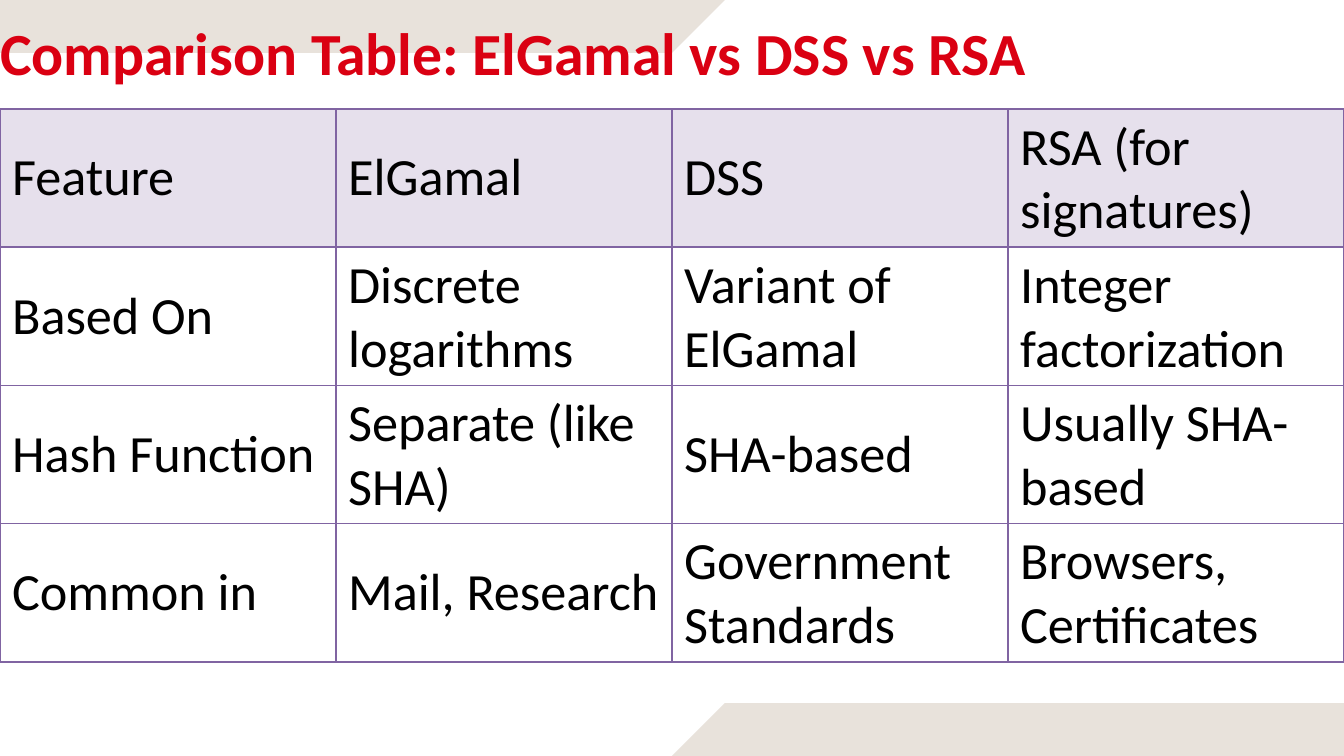
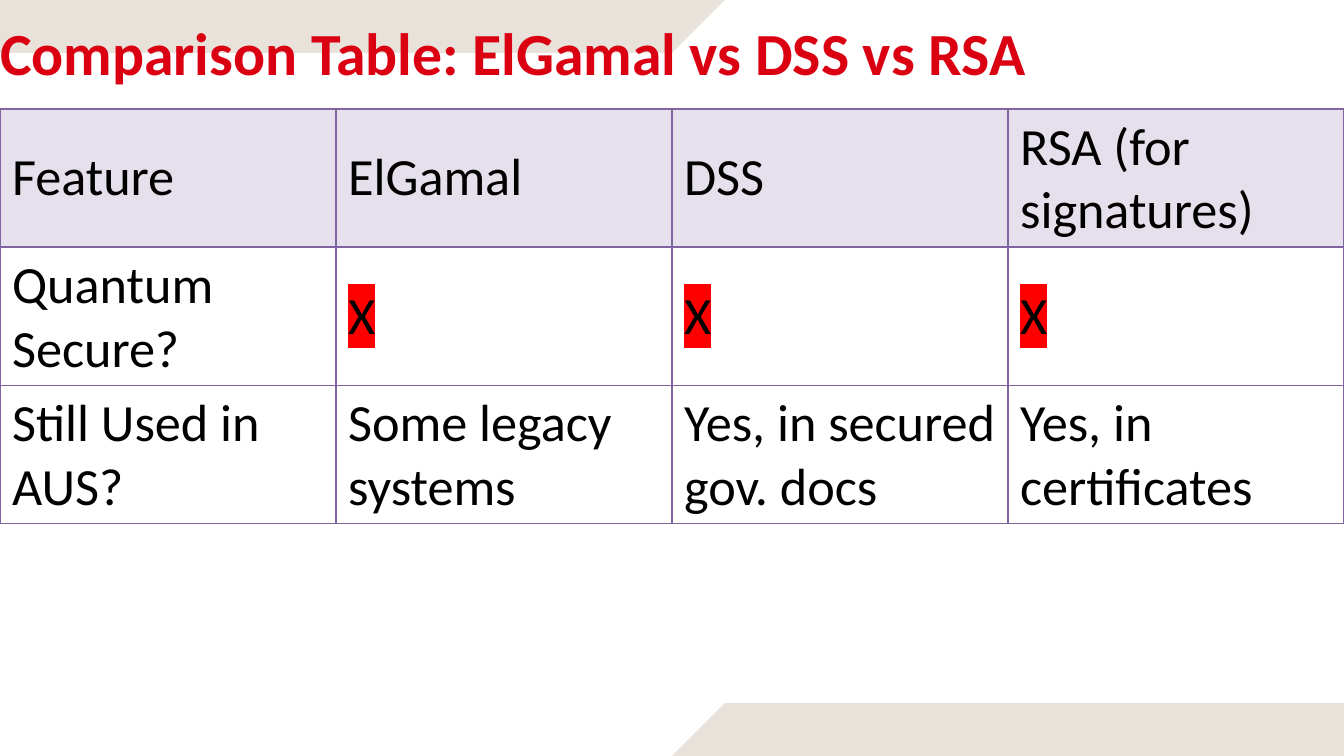
from dataclasses import dataclass

from lxml.etree import SubElement
from pptx import Presentation
from pptx.dml.color import RGBColor
from pptx.enum.text import MSO_ANCHOR as Anchor, MSO_AUTO_SIZE as AutoSize, PP_ALIGN as Align
from pptx.oxml.ns import qn
from pptx.util import Cm, Pt

COLORS = {
    "background": "FFFFFF",
    "band": "E8E2DB",
    "title": "DA0012",
    "text": "000000",
    "header": "E6E0EC",
    "border": "8064A2",
    "highlight": "FF0000",
}
FONT = "Calibri"
SLIDE_W, SLIDE_H = 25.4, 14.29
MIDDLE = SLIDE_W / 2
BAND_H = 1.0  # also the horizontal run of the slanted end
TABLE_TOP, ROW_H = 2.06, 2.6
CELL_SIDE, CELL_EDGE = 0.23, 0.12  # cell margins
MARK = "X"  # highlighted wherever it fills a cell

TITLE = "Comparison Table: ElGamal vs DSS vs RSA"
HEADER = ("Feature", "ElGamal", "DSS", "RSA (for signatures)")


@dataclass(frozen=True)
class Band:
    """Outline corners in centimetres."""
    corners: tuple[tuple[float, float], ...]


@dataclass(frozen=True)
class Comparison:
    rows: tuple[tuple[str, ...], ...]


BANDS = (
    Band(((MIDDLE + BAND_H, 0), (0, 0), (0, BAND_H), (MIDDLE, BAND_H))),
    Band(((SLIDE_W, SLIDE_H - BAND_H), (MIDDLE + BAND_H, SLIDE_H - BAND_H),
          (MIDDLE, SLIDE_H), (SLIDE_W, SLIDE_H))),
)

COMPARISONS = (
    Comparison((
        ("Based On", "Discrete logarithms", "Variant of ElGamal", "Integer factorization"),
        ("Hash Function", "Separate (like SHA)", "SHA-based", "Usually SHA-based"),
        ("Common in", "Mail, Research", "Government Standards", "Browsers, Certificates"),
    )),
    Comparison((
        ("Quantum Secure?", MARK, MARK, MARK),
        ("Still Used in AUS?", "Some legacy systems", "Yes, in secured gov. docs",
         "Yes, in certificates"),
    )),
)


def rgb(name: str) -> RGBColor:
    return RGBColor.from_string(COLORS[name])


def set_font(paragraph, size: int, color: str, bold: bool = False) -> None:
    font = paragraph.font
    font.name, font.size, font.bold = FONT, Pt(size), bold
    font.color.rgb = rgb(color)


def add_hex(parent, color: str) -> None:
    SubElement(parent, qn("a:srgbClr"), val=COLORS[color])


# Shared bands: drawn on a slide, then moved behind the layout's placeholders
def move_bands_to_layout(slide) -> None:
    for index, band in enumerate(BANDS):
        start, *others = [(Cm(x), Cm(y)) for x, y in band.corners]
        builder = slide.shapes.build_freeform(*start)
        builder.add_line_segments(others, close=True)
        shape = builder.convert_to_shape()
        shape.shadow.inherit = False
        shape.fill.solid()
        shape.fill.fore_color.rgb = rgb("band")
        shape.line.fill.background()
        shape.element.nvSpPr.cNvPr.set("id", str(100 + index))
        slide.slide_layout.shapes.element.insert(2 + index, shape.element)


def write_title(slide) -> None:
    title = slide.shapes.title
    title.left, title.top, title.width, title.height = Cm(0), Cm(0), Cm(21.16), Cm(1.68)
    frame = title.text_frame
    frame.text = TITLE
    frame.margin_left = frame.margin_right = frame.margin_bottom = 0
    frame.margin_top = Cm(0.3)
    frame.vertical_anchor = Anchor.TOP
    frame.word_wrap = True
    frame.auto_size = AutoSize.SHAPE_TO_FIT_TEXT
    paragraph = frame.paragraphs[0]
    paragraph.alignment = Align.LEFT
    set_font(paragraph, 32, "title", bold=True)


def add_borders(cell) -> None:
    properties = cell._tc.get_or_add_tcPr()
    for index, side in enumerate(("lnL", "lnR", "lnT", "lnB")):
        line = SubElement(properties, qn(f"a:{side}"), w=str(Pt(1)))
        add_hex(SubElement(line, qn("a:solidFill")), "border")
        properties.insert(index, line)


def fill_cell(cell, text: str, is_header: bool) -> None:
    cell.text = text
    cell.vertical_anchor = Anchor.MIDDLE
    cell.margin_left = cell.margin_right = Cm(CELL_SIDE)
    cell.margin_top = cell.margin_bottom = Cm(CELL_EDGE)
    if is_header:
        cell.fill.solid()
        cell.fill.fore_color.rgb = rgb("header")
    else:
        cell.fill.background()
    add_borders(cell)
    paragraph = cell.text_frame.paragraphs[0]
    set_font(paragraph, 28, "text")
    if text == MARK:
        run_properties = paragraph.runs[0]._r.get_or_add_rPr()
        add_hex(SubElement(run_properties, qn("a:highlight")), "highlight")


def add_comparison(slide, comparison: Comparison) -> None:
    rows = (HEADER, *comparison.rows)
    table = slide.shapes.add_table(
        len(rows), len(HEADER), Cm(0), Cm(TABLE_TOP), Cm(SLIDE_W), Cm(ROW_H * len(rows))
    ).table
    table.first_row = table.horz_banding = False
    for r, row in enumerate(rows):
        for c, text in enumerate(row):
            fill_cell(table.cell(r, c), text, is_header=r == 0)


def main() -> None:
    deck = Presentation()
    deck.slide_width, deck.slide_height = Cm(SLIDE_W), Cm(SLIDE_H)
    background = deck.slide_master.background.fill
    background.solid()
    background.fore_color.rgb = rgb("background")

    title_only = deck.slide_layouts[5]
    for number, comparison in enumerate(COMPARISONS):
        slide = deck.slides.add_slide(title_only)
        if number == 0:
            move_bands_to_layout(slide)
        write_title(slide)
        add_comparison(slide, comparison)
    deck.save("out.pptx")


if __name__ == "__main__":
    main()
